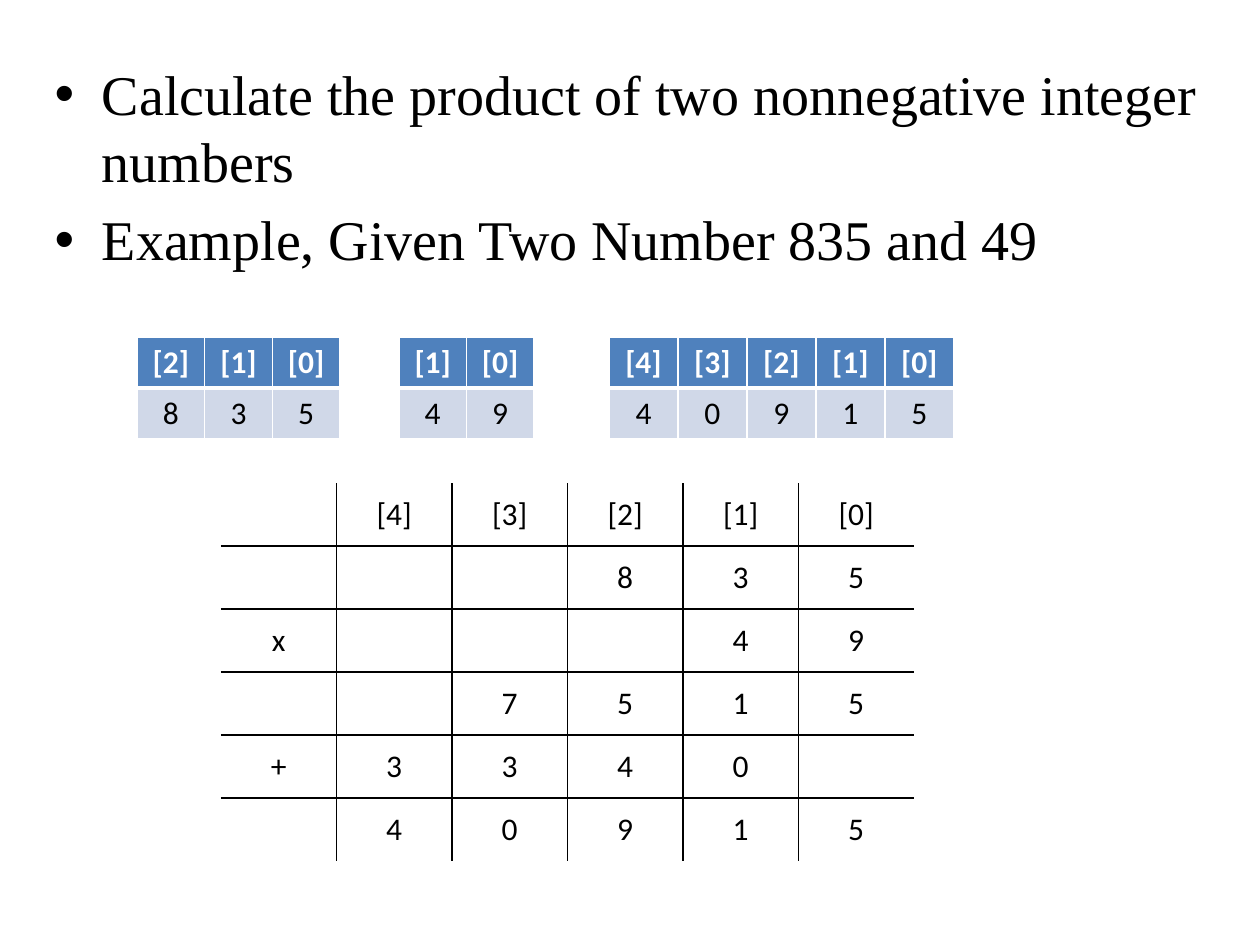
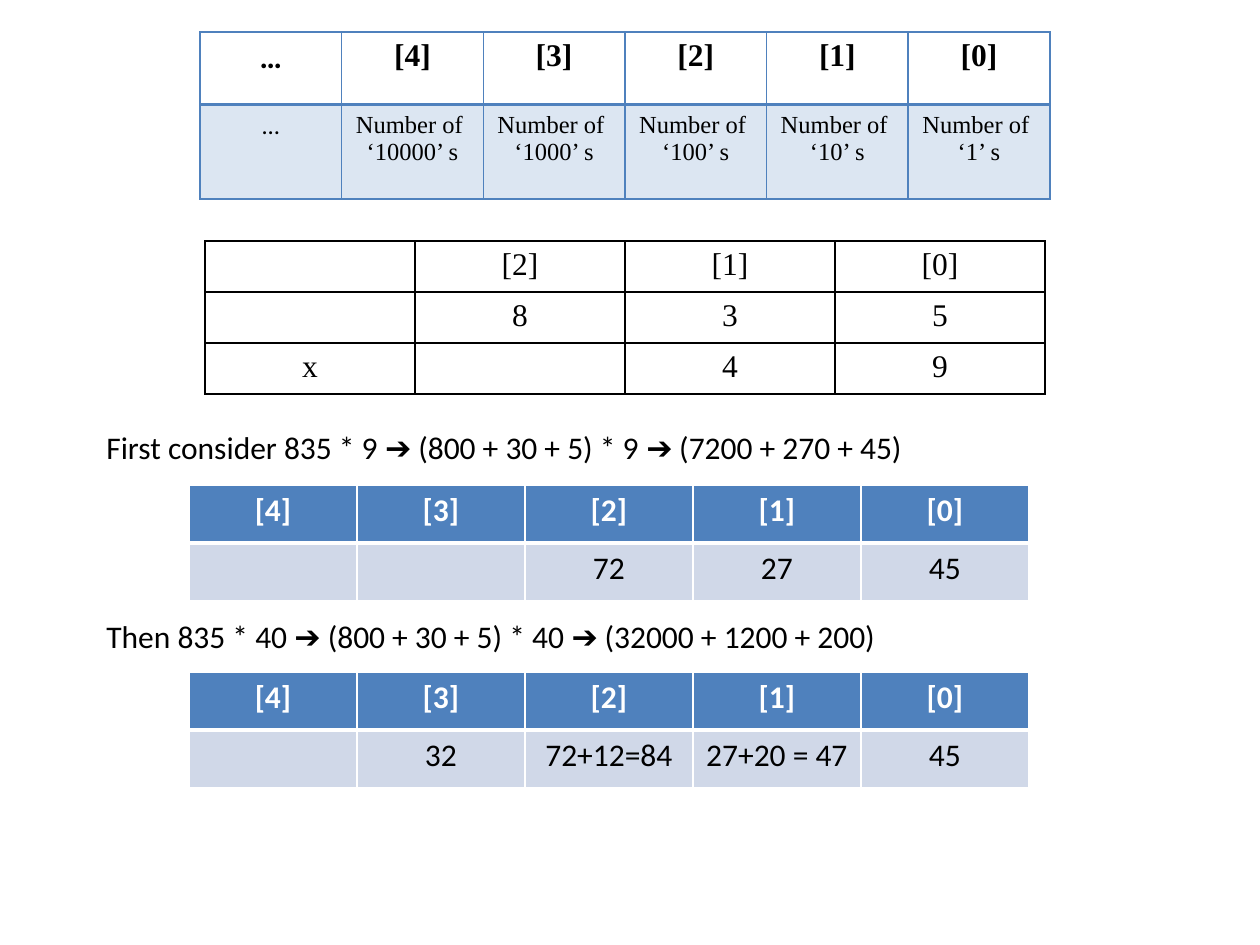
from dataclasses import dataclass

from lxml.etree import SubElement
from pptx import Presentation
from pptx.dml.color import RGBColor
from pptx.enum.text import MSO_ANCHOR as Anchor, PP_ALIGN as Align
from pptx.oxml.ns import qn
from pptx.util import Emu, Pt

EMU_PER_PX = 914400 / 126
BLACK = "000000"
WHITE = "FFFFFF"
BLUE = "4F81BD"
SANS = "Calibri"
SERIF = "Times New Roman"
ELLIPSIS = "…"


@dataclass(frozen=True)
class TableStyle:
    font: str
    border: str
    header_fill: str | None = None
    body_fill: str | None = None
    header_color: str = BLACK
    header_bold: bool = False
    header_line: int = 1
    body_size: int = 18
    framed: bool = True


@dataclass(frozen=True)
class TableSpec:
    style: TableStyle
    left: int
    top: int
    width: int
    row_heights: list[int]
    rows: list[list[str]]
    anchor: Anchor = Anchor.TOP


@dataclass(frozen=True)
class Caption:
    top: int
    text: str


BANDED = TableStyle(SANS, WHITE, BLUE, "D0D8E8", WHITE, True, 3)
OUTLINED = TableStyle(SERIF, BLUE, body_fill="DCE6F2", header_bold=True, header_line=2, body_size=14)
INNER_GRID = TableStyle(SANS, BLACK, framed=False)
FULL_GRID = TableStyle(SERIF, BLACK)


def px(length: int) -> Emu:
    return Emu(round(length * EMU_PER_PX))


def color(value: str) -> RGBColor:
    return RGBColor.from_string(value)


def indexes(count: int) -> list[str]:
    return [f"[{index}]" for index in reversed(range(count))]


def format_paragraph(paragraph, font: str, size: int, text_color: str = BLACK, bold: bool = False) -> None:
    paragraph.font.name = font
    paragraph.font.size = Pt(size)
    paragraph.font.bold = bold
    paragraph.font.color.rgb = color(text_color)


def set_border(cell, side: str, line_color: str, width: int) -> None:
    line = SubElement(cell._tc.get_or_add_tcPr(), qn(f"a:ln{side}"), w=str(Pt(width)))
    if width:
        fill = SubElement(line, qn("a:solidFill"))
        SubElement(fill, qn("a:srgbClr"), val=line_color)
    else:
        SubElement(line, qn("a:noFill"))


def add_grid(slide, spec: TableSpec) -> None:
    style = spec.style
    row_count, column_count = len(spec.rows), len(spec.rows[0])
    frame = slide.shapes.add_table(
        row_count, column_count, px(spec.left), px(spec.top), px(spec.width), px(sum(spec.row_heights))
    )
    table = frame.table
    table.first_row = style.header_fill is not None
    table.horz_banding = False
    edge = int(style.framed)
    for row_index, (height, texts) in enumerate(zip(spec.row_heights, spec.rows)):
        table.rows[row_index].height = px(height)
        is_header = row_index == 0
        above = {0: edge, 1: style.header_line}.get(row_index, 1)
        below = style.header_line if is_header else 1
        for column_index, text in enumerate(texts):
            cell = table.cell(row_index, column_index)
            widths = {
                "L": 1 if column_index else edge,
                "R": 1 if column_index < column_count - 1 else edge,
                "T": above,
                "B": below if row_index < row_count - 1 else edge,
            }
            for side, width in widths.items():
                set_border(cell, side, style.border, width)
            fill_color = style.header_fill if is_header else style.body_fill
            if fill_color:
                cell.fill.solid()
                cell.fill.fore_color.rgb = color(fill_color)
            else:
                cell.fill.background()
            cell.vertical_anchor = spec.anchor
            cell.text = text
            for paragraph in cell.text_frame.paragraphs:
                paragraph.alignment = Align.CENTER
                format_paragraph(
                    paragraph,
                    SANS if text == ELLIPSIS else style.font,
                    18 if is_header else style.body_size,
                    style.header_color if is_header else BLACK,
                    is_header and style.header_bold,
                )


def digit_table(left: int, width: int, digits: str) -> TableSpec:
    return TableSpec(BANDED, left, 337, width, [51, 51], [indexes(len(digits)), list(digits)], Anchor.MIDDLE)


def partial_table(top: int, values: list[str]) -> TableSpec:
    return TableSpec(BANDED, 189, top, 840, [58, 58], [indexes(5), values])


def add_caption(slide, caption: Caption) -> None:
    box = slide.shapes.add_textbox(px(94), px(caption.top), px(1061), px(50))
    box.text_frame.word_wrap = True
    box.text_frame.text = caption.text
    format_paragraph(box.text_frame.paragraphs[0], SANS, 18)


def build_problem_slide(presentation) -> None:
    slide = presentation.slides.add_slide(presentation.slide_layouts[1])
    title = slide.shapes.title.element
    title.getparent().remove(title)
    body = slide.placeholders[1]
    body.left, body.top, body.width, body.height = px(42), px(53), px(1187), px(850)
    body.text_frame.text = (
        "Calculate the product of two nonnegative integer numbers\n"
        "Example, Given Two Number 835 and 49"
    )
    for paragraph in body.text_frame.paragraphs:
        format_paragraph(paragraph, SERIF, 32)

    multiplication = [
        ["", *indexes(5)],
        ["", "", "", "8", "3", "5"],
        ["x", "", "", "", "4", "9"],
        ["", "", "7", "5", "1", "5"],
        ["+", "3", "3", "4", "0", ""],
        ["", "4", "0", "9", "1", "5"],
    ]
    for spec in (
        digit_table(137, 203, "835"),
        digit_table(399, 135, "49"),
        digit_table(609, 345, "40915"),
        TableSpec(INNER_GRID, 221, 483, 693, [63] * 6, multiplication, Anchor.MIDDLE),
    ):
        add_grid(slide, spec)


def build_steps_slide(presentation) -> None:
    slide = presentation.slides.add_slide(presentation.slide_layouts[6])
    place_values = [f"Number of \n‘{10 ** power}’ s" for power in reversed(range(5))]
    factors = [["", *indexes(3)], ["", "8", "3", "5"], ["x", "", "4", "9"]]
    for spec in (
        TableSpec(OUTLINED, 200, 32, 850, [73, 94], [[ELLIPSIS, *indexes(5)], [ELLIPSIS, *place_values]]),
        TableSpec(FULL_GRID, 205, 241, 840, [51] * 3, factors),
        partial_table(485, ["", "", "72", "27", "45"]),
        partial_table(672, ["", "32", "72+12=84", "27+20 = 47", "45"]),
    ):
        add_grid(slide, spec)
    for caption in (
        Caption(422, "First consider 835 * 9 ➔ (800 + 30 + 5) * 9 ➔ (7200 + 270 + 45)"),
        Caption(611, "Then 835 * 40 ➔ (800 + 30 + 5) * 40 ➔ (32000 + 1200 + 200)"),
    ):
        add_caption(slide, caption)


def main() -> None:
    presentation = Presentation()
    presentation.slide_width, presentation.slide_height = px(1260), px(945)
    build_problem_slide(presentation)
    build_steps_slide(presentation)
    presentation.save("out.pptx")


if __name__ == "__main__":
    main()
